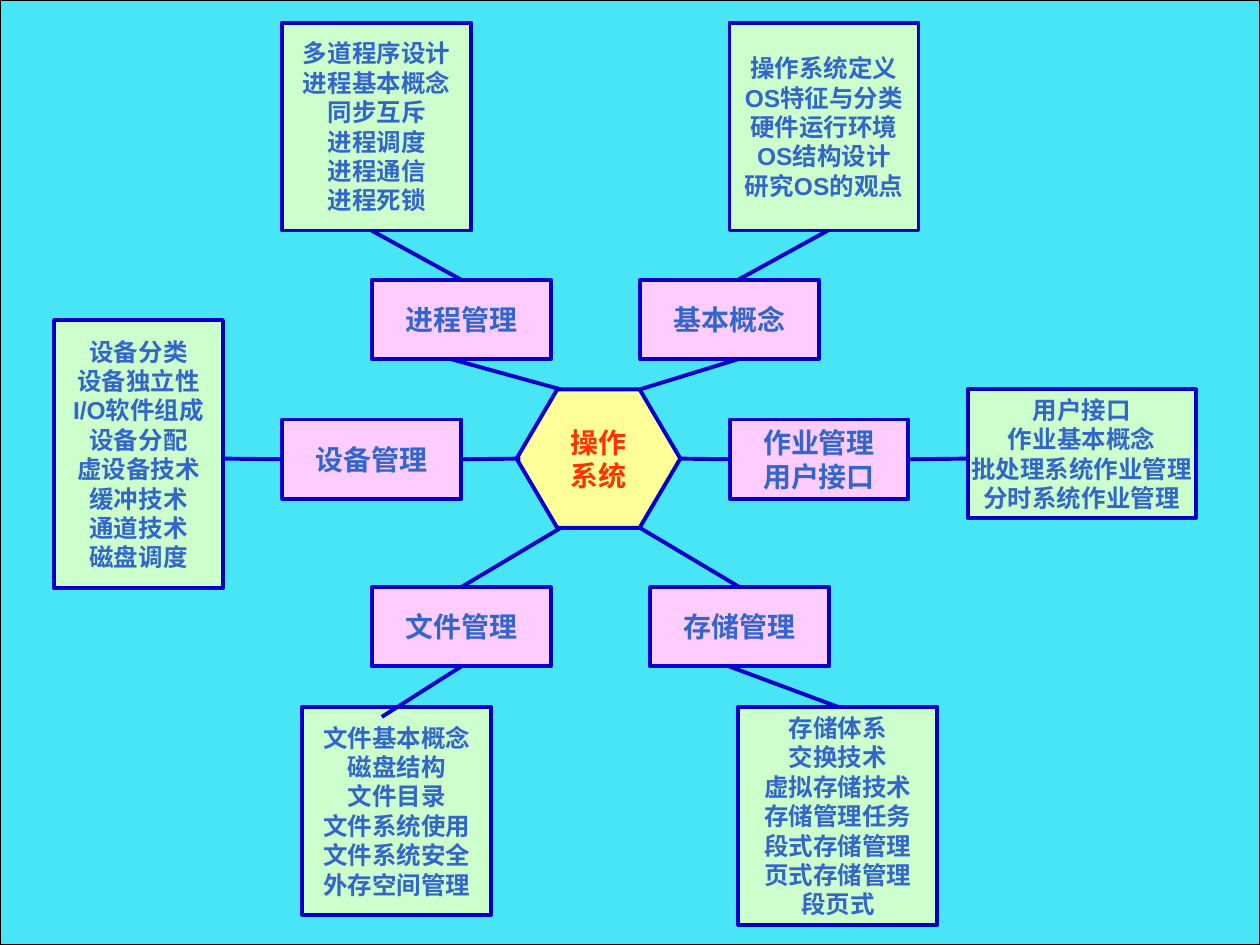
from dataclasses import dataclass

from lxml.etree import SubElement
from pptx import Presentation
from pptx.dml.color import RGBColor
from pptx.enum.shapes import MSO_CONNECTOR, MSO_SHAPE
from pptx.enum.text import MSO_ANCHOR, PP_ALIGN
from pptx.oxml.ns import qn
from pptx.util import Inches, Pt

CYAN = RGBColor(0x48, 0xE5, 0xF6)
BLACK = RGBColor(0, 0, 0)
NAVY = RGBColor(0x00, 0x00, 0xCC)
BLUE = RGBColor(0x33, 0x66, 0xCC)
RED = RGBColor(0xFF, 0x33, 0x00)
YELLOW = RGBColor(0xFF, 0xFF, 0x99)
PINK = RGBColor(0xFF, 0xCC, 0xFF)
GREEN = RGBColor(0xCC, 0xFF, 0xCC)

TOPIC_SIZE = (1.42, 0.63)
TOP, LEFT, BOTTOM, RIGHT = range(4)


@dataclass
class Branch:
    """A line end is a (x, y) point, or the side of the box it is joined to."""
    topic: list
    topic_at: tuple
    details: list
    details_at: tuple
    hub_end: tuple
    topic_inner: object
    topic_outer: object
    details_end: object


BRANCHES = [
    Branch(["基本概念"], (5.08, 2.22),
           ["操作系统定义", "OS特征与分类", "硬件运行环境", "OS结构设计", "研究OS的观点"],
           (5.79, 0.18, 1.5, 1.65),
           (5.08, 3.09), (5.86, 2.85), (5.86, 2.22), (6.57, 1.83)),
    Branch(["进程管理"], (2.95, 2.22),
           ["多道程序设计", "进程基本概念", "同步互斥", "进程调度", "进程通信", "进程死锁"],
           (2.24, 0.18, 1.5, 1.65),
           (4.45, 3.09), (3.58, 2.85), TOP, (2.95, 1.83)),
    Branch(["设备管理"], (2.24, 3.33),
           ["设备分类", "设备独立性", "I/O软件组成", "设备分配",
            "虚设备技术", "缓冲技术", "通道技术", "磁盘调度"],
           (0.43, 2.54, 1.34, 2.13),
           (4.13, 3.64), RIGHT, LEFT, (1.77, 3.64)),
    Branch(["作业管理", "用户接口"], (5.79, 3.33),
           ["用户接口", "作业基本概念", "批处理系统作业管理", "分时系统作业管理"],
           (7.68, 3.09, 1.81, 1.02),
           (5.39, 3.64), LEFT, RIGHT, (7.68, 3.64)),
    Branch(["存储管理"], (5.16, 4.66),
           ["存储体系", "交换技术", "虚拟存储技术", "存储管理任务",
            "段式存储管理", "页式存储管理", "段页式"],
           (5.86, 5.61, 1.58, 1.73),
           (5.08, 4.19), TOP, (5.79, 5.29), TOP),
    Branch(["文件管理"], (2.95, 4.66),
           ["文件基本概念", "磁盘结构", "文件目录", "文件系统使用", "文件系统安全", "外存空间管理"],
           (2.4, 5.61, 1.5, 1.65),
           (4.45, 4.19), TOP, BOTTOM, (3.03, 5.69)),
]


def add_box(page, kind, at, fill, line=NAVY, width=2.25):
    box = page.shapes.add_shape(kind, *map(Inches, at))
    box.shadow.inherit = False
    box.fill.solid()
    box.fill.fore_color.rgb = fill
    box.line.color.rgb = line
    box.line.width = Pt(width)
    return box


def write_lines(box, lines, size, color=BLUE):
    frame = box.text_frame
    frame.word_wrap = False
    frame.vertical_anchor = MSO_ANCHOR.MIDDLE
    font_format = {"name": "Arial", "size": Pt(size), "bold": True}
    for index, line in enumerate(lines):
        para = frame.paragraphs[0] if index == 0 else frame.add_paragraph()
        para.alignment = PP_ALIGN.CENTER
        span = para.add_run()
        span.text = line
        for name, value in font_format.items():
            setattr(span.font, name, value)
        span.font.color.rgb = color


def add_link(page, start_box, start, end_box, end):
    points = [point if isinstance(point, tuple) else (0, 0) for point in (start, end)]
    link = page.shapes.add_connector(
        MSO_CONNECTOR.STRAIGHT, *[Inches(value) for point in points for value in point])
    link.line.color.rgb = NAVY
    link.line.width = Pt(2.25)
    SubElement(link._element.spPr, qn("a:effectLst"))
    if isinstance(start, int):
        link.begin_connect(start_box, start)
    if isinstance(end, int):
        link.end_connect(end_box, end)


def add_branch(page, hub, branch):
    topic = add_box(page, MSO_SHAPE.RECTANGLE, branch.topic_at + TOPIC_SIZE, PINK)
    write_lines(topic, branch.topic, 16)
    details = add_box(page, MSO_SHAPE.RECTANGLE, branch.details_at, GREEN)
    write_lines(details, branch.details, 14)
    add_link(page, hub, branch.hub_end, topic, branch.topic_inner)
    add_link(page, topic, branch.topic_outer, details, branch.details_end)


def main():
    deck = Presentation()
    deck.slide_width, deck.slide_height = Inches(10), Inches(7.5)
    page = deck.slides.add_slide(deck.slide_layouts[6])

    # Backdrop
    add_box(page, MSO_SHAPE.RECTANGLE, (0, 0, 10, 7.5), CYAN, BLACK, 0.75)

    # Hub
    hub = add_box(page, MSO_SHAPE.HEXAGON, (4.1, 3.09, 1.3, 1.1), YELLOW)
    hub.adjustments[0] = 0.294
    write_lines(hub, ["操作", "系统"], 16, RED)

    # Topics with their details
    for branch in BRANCHES:
        add_branch(page, hub, branch)

    deck.save("out.pptx")


if __name__ == "__main__":
    main()
